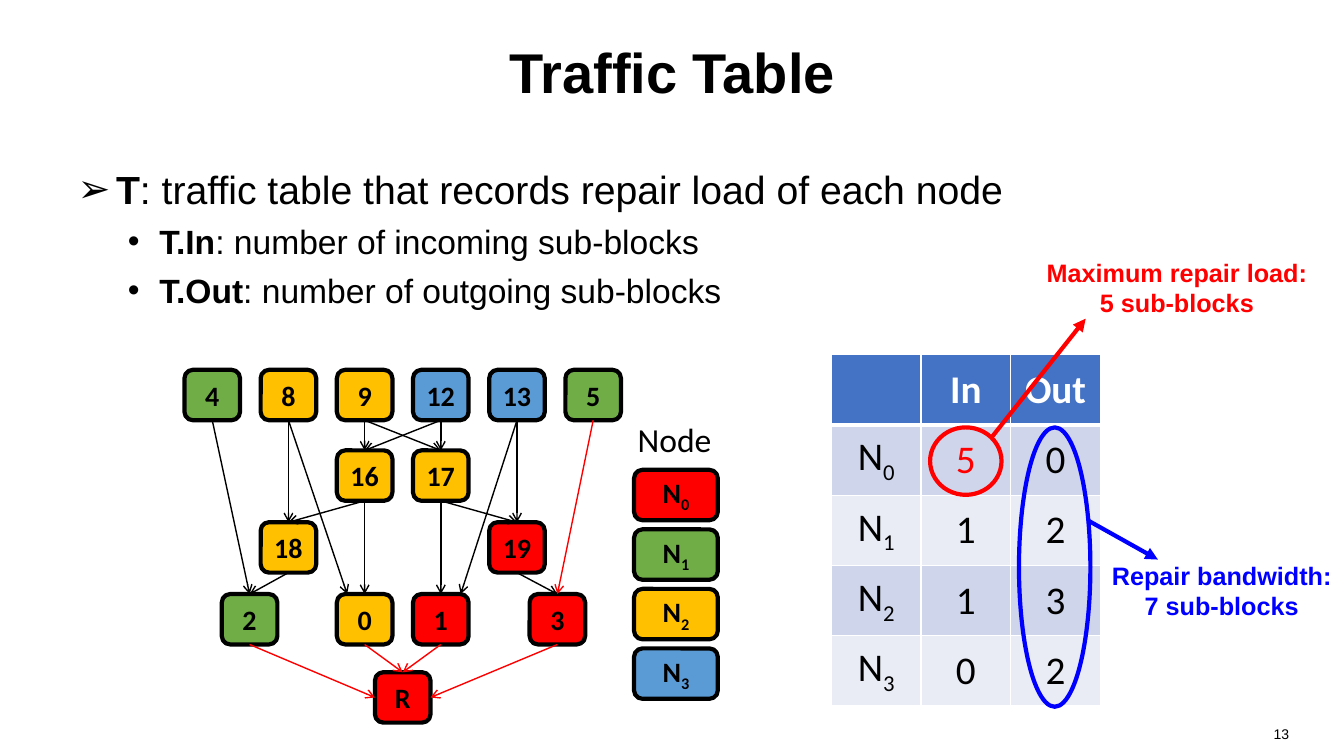
"""Build the Traffic Table slide: repair graph, node legend and load table."""
from lxml import etree
from pptx import Presentation
from pptx.dml import color
from pptx.enum import shapes, text
from pptx.oxml import ns
from pptx.util import Cm, Pt

BLACK, WHITE, RED, BLUE = "000000", "FFFFFF", "FF0000", "0000FF"
GREEN, AMBER, SKY = "70AD47", "FFC000", "5B9BD5"
HEADER, BANDS = "4472C4", ("CFD5EA", "E9EBF5")

TITLE = "Traffic Table"
BULLETS = [
    (0, "T", ": traffic table that records repair load of each node"),
    (1, "T.In", ": number of incoming sub-blocks"),
    (1, "T.Out", ": number of outgoing sub-blocks"),
]
BULLET_LEVELS = [
    {"mark": "➢", "margin": 0.97, "hanging": 0.97, "size": 28},
    {"mark": "•", "margin": 2.06, "hanging": 0.79, "size": 24},
]
TABLE_ROWS = [("", "In", "Out"), ("N_0", "5", "0"), ("N_1", "1", "2"),
              ("N_2", "1", "3"), ("N_3", "0", "2")]
LEGEND = [("N_0", RED), ("N_1", GREEN), ("N_2", AMBER), ("N_3", SKY)]

ROW_TOPS = [9.32, 11.35, 13.16, 14.97, 16.94]
BLOCKS = [
    ("4", 0, 0, GREEN), ("8", 1, 0, AMBER), ("9", 2, 0, AMBER),
    ("12", 3, 0, SKY), ("13", 4, 0, SKY), ("5", 5, 0, GREEN),
    ("16", 2, 1, AMBER), ("17", 3, 1, AMBER),
    ("18", 1, 2, AMBER), ("19", 4, 2, RED),
    ("2", 0.49, 3, GREEN), ("0", 2, 3, AMBER), ("1", 3, 3, RED),
    ("3", 4.53, 3, RED), ("R", 2.5, 4, RED),
]
TOP, LEFT, BOTTOM, RIGHT = range(4)
EDGES = [
    ("9", "16"), ("9", "17"), ("12", "17"), ("12", "16"), ("8", "18"),
    ("16", "18"), ("16", "0"), ("17", "1"), ("17", "19"), ("13", "19"),
    ("4", "2"), ("18", "2"), ("19", "3"),
]
RED_EDGES = [("5", "3", TOP), ("2", "R", LEFT), ("0", "R", TOP),
             ("1", "R", TOP), ("3", "R", RIGHT)]
OFF_CENTRE_EDGES = [("8", "0", -0.44), ("13", "1", 0.5)]
NOTES = [
    {"text": "Maximum repair load: 5 sub-blocks", "color": RED,
     "box": (26.04, 6.35, 6.99, 1.8), "ring": (23.44, 10.77, 1.8, 1.7),
     "arrow": (24.99, 11.02, 27.36, 8.03)},
    {"text": "Repair bandwidth: 7 sub-blocks", "color": BLUE,
     "box": (27.58, 14, 6.17, 1.8), "ring": (25.68, 10.77, 1.8, 7.04),
     "arrow": (27.41, 13.11, 29.18, 14.1)},
]


def rgb(value):
    return color.RGBColor.from_string(value)


def apply(target, values):
    for name, value in values.items():
        setattr(target, name, value)


def lengths(values):
    return [Cm(value) for value in values]


def add_run(paragraph, words, size, fill=BLACK, name="Arial", bold=False):
    run = paragraph.add_run()
    run.text = words
    apply(run.font, {"size": Pt(size), "name": name, "bold": bold})
    run.font.color.rgb = rgb(fill)
    return run


def add_label(paragraph, label, size, fill=BLACK, bold=False):
    base, _, subscript = label.partition("_")
    paragraph.alignment = text.PP_ALIGN.CENTER
    add_run(paragraph, base, size, fill, "Calibri", bold)
    if subscript:
        run = add_run(paragraph, subscript, size, fill, "Calibri", bold)
        run.font._element.set("baseline", "-25000")


def add_outlined(slide, kind, box, line, fill=None):
    shape = slide.shapes.add_shape(kind, *lengths(box))
    shape.shadow.inherit = False
    shape.line.color.rgb = rgb(line)
    shape.line.width = Pt(3)
    if fill:
        shape.fill.solid()
        shape.fill.fore_color.rgb = rgb(fill)
    else:
        shape.fill.background()
    return shape


def add_block(slide, label, box, fill):
    shape = add_outlined(slide, shapes.MSO_SHAPE.ROUNDED_RECTANGLE, box, BLACK, fill)
    shape.text_frame.vertical_anchor = text.MSO_ANCHOR.MIDDLE
    add_label(shape.text_frame.paragraphs[0], label, 20, bold=True)
    return shape


def add_arrow(slide, ends, line, width, head):
    connector = slide.shapes.add_connector(shapes.MSO_CONNECTOR.STRAIGHT, *ends)
    connector.line.color.rgb = rgb(line)
    connector.line.width = Pt(width)
    outline = connector.line._get_or_add_ln()
    etree.SubElement(outline, ns.qn("a:tailEnd"), type=head)
    etree.SubElement(connector._element.spPr, ns.qn("a:effectLst"))
    return connector


def add_text(slide, box, words, alignment, wrap=True, margin_right=0.25, **font):
    frame = slide.shapes.add_textbox(*lengths(box)).text_frame
    apply(frame, {"word_wrap": wrap, "margin_right": Cm(margin_right)})
    frame.paragraphs[0].alignment = alignment
    add_run(frame.paragraphs[0], words, **font)


def fill_placeholders(slide):
    title, body = slide.shapes.title, slide.placeholders[1]
    for shape, box in ((title, (1.7, 0.2, 30.48, 3.18)), (body, (1.7, 4.05, 31.55, 2.34))):
        apply(shape, dict(zip(("left", "top", "width", "height"), lengths(box))))
        shape.text_frame.auto_size = text.MSO_AUTO_SIZE.NONE
    title.text_frame.vertical_anchor = text.MSO_ANCHOR.MIDDLE
    title.text_frame.paragraphs[0].alignment = text.PP_ALIGN.CENTER
    add_run(title.text_frame.paragraphs[0], TITLE, 40, bold=True)
    frame = body.text_frame
    frame.vertical_anchor = text.MSO_ANCHOR.TOP
    for index, (level, term, meaning) in enumerate(BULLETS):
        style = BULLET_LEVELS[level]
        paragraph = frame.add_paragraph() if index else frame.paragraphs[0]
        properties = paragraph._p.get_or_add_pPr()
        properties.set("marL", str(Cm(style["margin"])))
        properties.set("indent", str(-Cm(style["hanging"])))
        etree.SubElement(properties, ns.qn("a:buFont"), typeface="Arial")
        etree.SubElement(properties, ns.qn("a:buChar"), char=style["mark"])
        apply(paragraph, {"level": level, "space_before": Pt(6 if index else 0)})
        add_run(paragraph, term, style["size"], bold=True)
        add_run(paragraph, meaning, style["size"])


def set_borders(cell, widths):
    properties = cell._tc.get_or_add_tcPr()
    for side, width in widths.items():
        border = etree.SubElement(properties, ns.qn("a:ln" + side), w=str(Pt(width)))
        fill = etree.SubElement(border, ns.qn("a:solidFill"))
        etree.SubElement(fill, ns.qn("a:srgbClr"), val=WHITE)


def add_traffic_table(slide):
    count = len(TABLE_ROWS)
    box = lengths((20.95, 8.94, 3 * 2.26, count * 1.77))
    table = slide.shapes.add_table(count, 3, *box).table
    for row, labels in enumerate(TABLE_ROWS):
        for column, label in enumerate(labels):
            cell = table.cell(row, column)
            set_borders(cell, {"L": 1, "R": 1, "T": 3 if row == 1 else 1,
                               "B": 1 if row else 3})
            cell.fill.solid()
            cell.fill.fore_color.rgb = rgb(BANDS[(row - 1) % 2] if row else HEADER)
            cell.vertical_anchor = text.MSO_ANCHOR.MIDDLE
            ink = RED if label == "5" else BLACK if row else WHITE
            if label:
                add_label(cell.text_frame.paragraphs[0], label, 28, ink, row == 0)


def add_graph(slide):
    blocks = {}
    for label, column, row, fill in BLOCKS:
        box = (4.65 + 1.92 * column, ROW_TOPS[row], 1.4, 1.27)
        blocks[label] = add_block(slide, label, box, fill)
    joined = [(*edge, TOP, BLACK) for edge in EDGES] + [(*edge, RED) for edge in RED_EDGES]
    for start, end, side, line in joined:
        connector = add_arrow(slide, (0, 0, 0, 0), line, 1, "arrow")
        connector.begin_connect(blocks[start], BOTTOM)
        connector.end_connect(blocks[end], side)
    for start, end, shift in OFF_CENTRE_EDGES:
        target = blocks[end]
        tip = target.left + target.width // 2 + Cm(shift)
        connector = add_arrow(slide, (0, 0, tip, target.top), BLACK, 1, "arrow")
        connector.begin_connect(blocks[start], BOTTOM)


def main():
    presentation = Presentation()
    apply(presentation, {"slide_width": Cm(33.87), "slide_height": Cm(19.05)})
    slide = presentation.slides.add_slide(presentation.slide_layouts[1])
    fill_placeholders(slide)
    add_text(slide, (24.84, 18.16, 7.9, 0.89), "13", text.PP_ALIGN.RIGHT, size=10)
    add_traffic_table(slide)
    add_graph(slide)
    add_text(slide, (15.82, 10.44, 2.39, 1.27), "Node", text.PP_ALIGN.LEFT,
             wrap=False, size=24, name="Calibri")
    for index, (label, fill) in enumerate(LEGEND):
        add_block(slide, label, (15.98, 11.84 + 1.5 * index, 2.11, 1.27), fill)
    for note in NOTES:
        add_outlined(slide, shapes.MSO_SHAPE.OVAL, note["ring"], note["color"])
        add_arrow(slide, lengths(note["arrow"]), note["color"], 3, "triangle")
        add_text(slide, note["box"], note["text"], text.PP_ALIGN.CENTER,
                 margin_right=0, size=18, fill=note["color"], bold=True)
    presentation.save("out.pptx")


if __name__ == "__main__":
    main()
